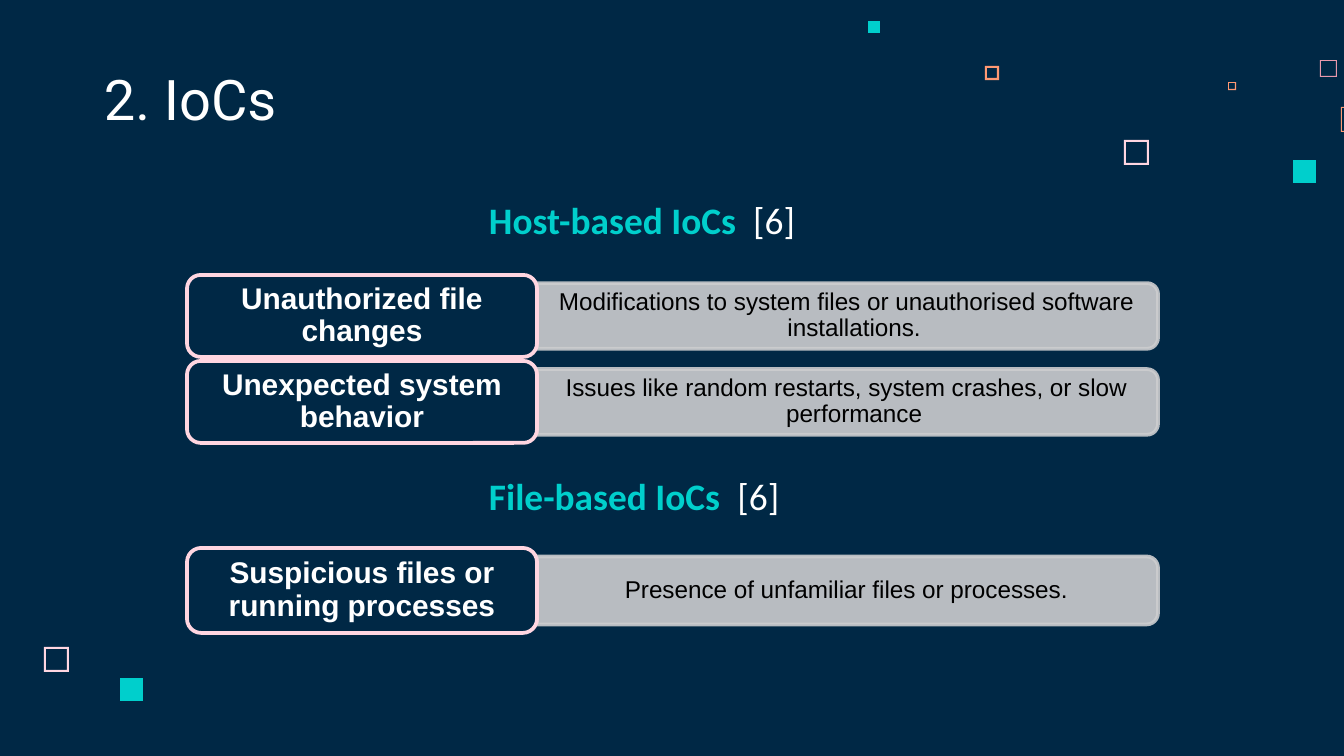
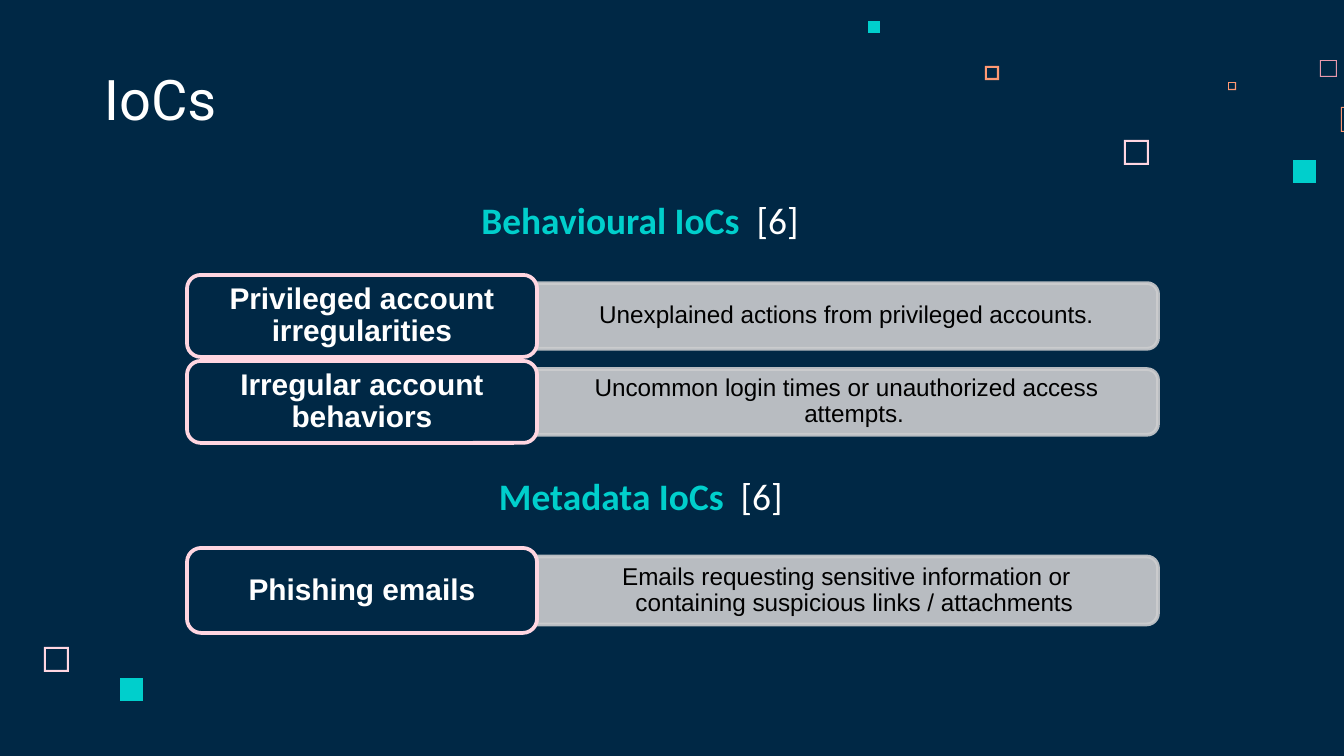
from lxml import etree
from pptx import Presentation
from pptx.dml.color import RGBColor
from pptx.enum.shapes import MSO_SHAPE
from pptx.enum.text import MSO_ANCHOR, PP_ALIGN
from pptx.oxml.ns import qn
from pptx.util import Pt

ROUND, TAB = MSO_SHAPE.ROUNDED_RECTANGLE, MSO_SHAPE.ROUND_2_SAME_RECTANGLE
TOP, MID, LOW = MSO_ANCHOR.TOP, MSO_ANCHOR.MIDDLE, MSO_ANCHOR.BOTTOM
CENTER = PP_ALIGN.CENTER

# Content: title, then groups of (heading, heading width, rows)
SLIDES = [
    ("2. IoCs", [
        ("Host-based IoCs", 392, [
            ("Unauthorized file changes",
             "Modifications to system files or unauthorised software installations."),
            ("Unexpected system behavior",
             "Issues like random restarts, system crashes, or slow performance"),
        ]),
        ("File-based IoCs", 392, [
            ("Suspicious files or running processes",
             "Presence of unfamiliar files or processes."),
        ]),
    ]),
    ("IoCs", [
        ("Behavioural IoCs", 407, [
            ("Privileged account irregularities",
             "Unexplained actions from privileged accounts."),
            ("Irregular account behaviors",
             "Uncommon login times or unauthorized access attempts."),
        ]),
        ("Metadata IoCs", 372, [
            ("Phishing emails",
             "Emails requesting sensitive information or containing suspicious links / attachments"),
        ]),
    ]),
]
CITE = "[6]"

# Group places: heading top, first row top, row height, text insets
PLACES = [(184, 275, 82, (7, 4)), (460, 548, 85, (36, 19))]

# Theme
NAVY, TEAL, WHITE, BLACK = "002845", "00CFCC", "FFFFFF", "000000"
PINK, ROSE, PEACH, GREY = "FFD6E1", "E898AC", "FF9973", "CCCDCF"

# Decor squares: left, top, side, edge (0 = solid), colour
SQUARES = [
    (1124, 140, 25, 2, PINK), (1320, 60, 17, 1, ROSE),
    (1228, 82, 8, 1, PEACH), (1341, 107, 25, 1, PEACH),
    (1293, 160, 23, 0, TEAL), (985, 66, 14, 2, PEACH),
    (868, 21, 12, 0, TEAL), (44, 647, 25, 2, PINK),
    (120, 678, 23, 0, TEAL),
]

# Layout
WIDTH, HEIGHT = 1344, 756
LEFT, LABEL_W, BAR_W, PITCH = 187, 350, 621, 86
HANG = 16
SCALE = 914400 / 134.4


def px(*vals):
    return [round(v * SCALE) for v in vals]


def rgb(code):
    return RGBColor.from_string(code)


def paint(shape, fill, line=None):
    shape.shadow.inherit = False
    shape.fill.solid()
    shape.fill.fore_color.rgb = rgb(fill)
    if line:
        shape.line.color.rgb = rgb(line)
        shape.line.width = Pt(2)
    else:
        shape.line.fill.background()


def fade(shape, share):
    for clr in shape.element.spPr.iter(qn("a:srgbClr")):
        etree.SubElement(clr, qn("a:alpha")).set("val", str(share * 1000))


def frame(shape, anchor, pad):
    text = shape.text_frame
    text.word_wrap = True
    text.vertical_anchor = anchor
    text.margin_left, text.margin_top = text.margin_right, text.margin_bottom = px(*pad)
    return text.paragraphs[0]


def style(font, name, size, color, bold=False):
    font.name, font.size, font.bold = name, Pt(size), bold
    font.color.rgb = rgb(color)


def box(slide, place, anchor=TOP, pad=(13, 13)):
    return frame(slide.shapes.add_textbox(*px(*place)), anchor, pad)


def square(slide, left, top, side, edge, color):
    far = side - edge
    path = slide.shapes.build_freeform(0, 0, SCALE)
    path.add_line_segments([(0, side), (side, side), (side, 0)])
    if edge:
        path.move_to(edge, edge)
        path.add_line_segments([(far, edge), (far, far), (edge, far)])
    shape = path.convert_to_shape(*px(left, top))
    paint(shape, color)
    return shape


def head(slide, text, width, top):
    para = box(slide, ((WIDTH - width) / 2, top, width, 74))
    for part, color, bold in ((text + "  ", TEAL, True), (CITE, WHITE, False)):
        run = para.add_run()
        run.text = part
        style(run.font, "Calibri", 20, color, bold)


def row(slide, label, note, top, high, pad):
    # Bar: an upright tab turned a quarter about its centre
    thick, left = high * 0.8, LEFT + LABEL_W
    mid_x, mid_y = left + BAR_W / 2, top + high / 2
    bar = slide.shapes.add_shape(
        TAB, *px(mid_x - thick / 2, mid_y - BAR_W / 2, thick, BAR_W))
    bar.rotation = 90
    paint(bar, GREY, GREY)
    fade(bar, 90)

    # Note on the bar, with a hanging indent
    deep = thick - 6
    para = box(slide, (left, mid_y - deep / 2, BAR_W - 3, deep), MID, pad)
    para.text, para.alignment, para.line_spacing = note, CENTER, 0.9
    para.level = 1
    style(para.font, "Arial", 13, BLACK)
    hang = px(HANG)[0]
    props = para._p.get_or_add_pPr()
    props.set("marL", str(hang))
    props.set("indent", str(-hang))

    # Label
    card = slide.shapes.add_shape(ROUND, *px(LEFT, top, LABEL_W, high))
    paint(card, NAVY, PINK)
    para = frame(card, MID, (13, 8))
    para.text, para.alignment, para.line_spacing = label, CENTER, 0.9
    style(para.font, "Arial", 16, WHITE, True)


def main():
    prs = Presentation()
    prs.slide_width, prs.slide_height = px(WIDTH, HEIGHT)
    blank = prs.slide_layouts[6]
    back = prs.slide_master.background.fill
    back.solid()
    back.fore_color.rgb = rgb(NAVY)

    for index, (title, groups) in enumerate(SLIDES):
        slide = prs.slides.add_slide(blank)
        if index == 0:
            # Decor is moved to the layout, so all slides share it
            for item in SQUARES:
                blank.shapes.element.append(square(slide, *item).element)
        para = box(slide, (91, 60, 866, 85), LOW)
        para.text = title
        style(para.font, "Roboto", 30, WHITE)
        for (text, width, rows), (top, first, high, pad) in zip(groups, PLACES):
            head(slide, text, width, top)
            for step, (label, note) in enumerate(rows):
                row(slide, label, note, first + step * PITCH, high, pad)

    prs.save("out.pptx")


if __name__ == "__main__":
    main()
